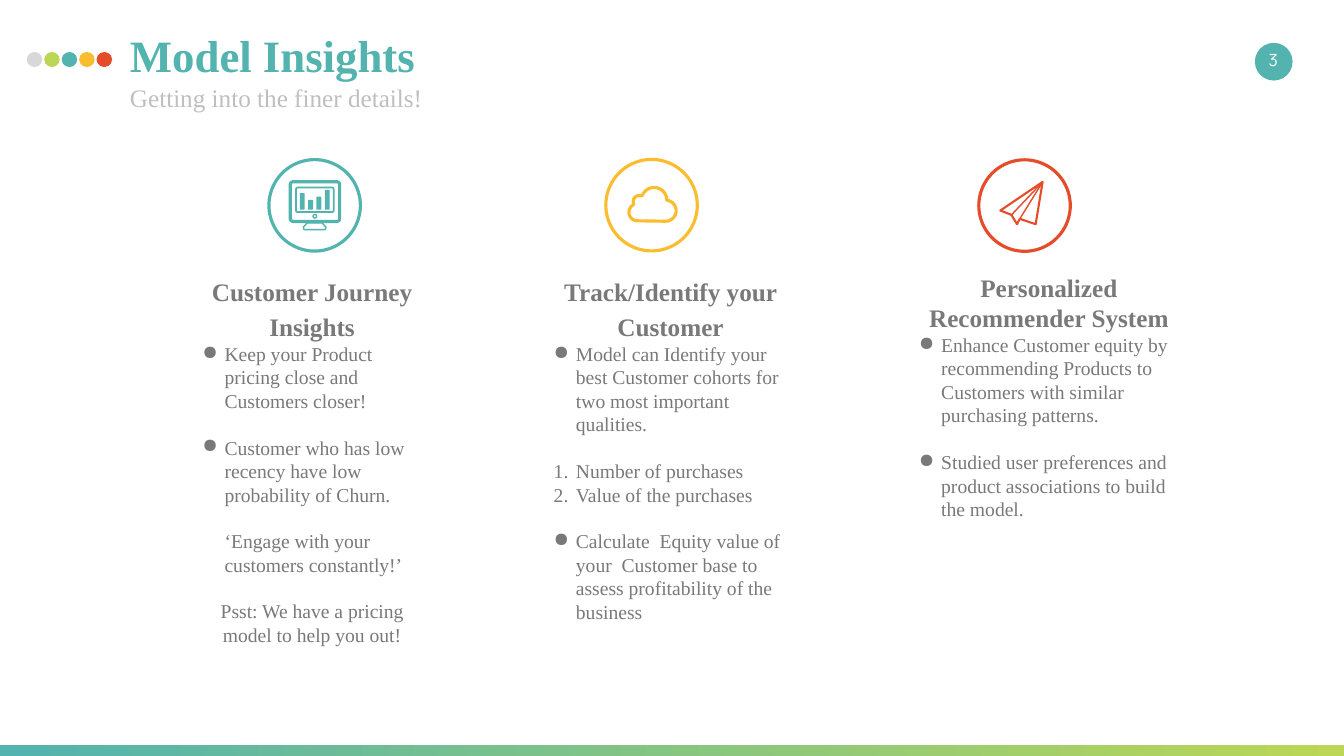
from math import cos, radians, sin

from lxml.etree import SubElement
from pptx import Presentation
from pptx.dml.color import RGBColor
from pptx.enum.shapes import MSO_CONNECTOR, MSO_SHAPE
from pptx.enum.text import MSO_ANCHOR, PP_ALIGN
from pptx.oxml.ns import qn
from pptx.util import Cm, Pt

TEAL, LIME, GOLD, RED = "52B3AF", "BBD755", "FABD30", "E54C29"
SILVER, GRAY, DARK, WHITE = "D8D8D8", "BFBFBF", "797979", "FFFFFF"
SERIF = "Times New Roman"
WIDE, HIGH = 67.74, 38.1


def rgb(code):
    return RGBColor.from_string(code)


def paint(shape, fill=None, line=None, width=0):
    shape.shadow.inherit = False
    if fill:
        shape.fill.solid()
        shape.fill.fore_color.rgb = rgb(fill)
    else:
        shape.fill.background()
    if line:
        shape.line.color.rgb = rgb(line)
        shape.line.width = Pt(width)
    else:
        shape.line.fill.background()


def add_form(slide, kind, x, y, w, h, **look):
    shape = slide.shapes.add_shape(kind, Cm(x), Cm(y), Cm(w), Cm(h))
    paint(shape, **look)
    return shape


def add_path(slide, x, y, points, color, width):
    """Draw a closed outline from points measured from the centre x, y."""
    spots = [(Cm(x + dx), Cm(y + dy)) for dx, dy in points]
    maker = slide.shapes.build_freeform(*spots[0], scale=1.0)
    maker.add_line_segments(spots[1:], close=True)
    paint(maker.convert_to_shape(), line=color, width=width)


def add_line(slide, x1, y1, x2, y2, color, width):
    line = slide.shapes.add_connector(
        MSO_CONNECTOR.STRAIGHT, Cm(x1), Cm(y1), Cm(x2), Cm(y2))
    line.line.color.rgb = rgb(color)
    line.line.width = Pt(width)
    SubElement(line._element.spPr, qn("a:effectLst"))


def style(para, size, color, bold=False, font=SERIF):
    for run in para.runs:
        run.font.name, run.font.size, run.font.bold = font, Pt(size), bold
        run.font.color.rgb = rgb(color)


def set_frame(frame, side=0.68, edge=0.34, anchor=MSO_ANCHOR.TOP):
    frame.word_wrap = True
    frame.margin_left = frame.margin_right = Cm(side)
    frame.margin_top = frame.margin_bottom = Cm(edge)
    frame.vertical_anchor = anchor


def add_box(slide, x, y, w, h, **frame):
    box = slide.shapes.add_textbox(Cm(x), Cm(y), Cm(w), Cm(h))
    set_frame(box.text_frame, **frame)
    return box.text_frame


def set_mark(para, mark):
    """Indent a paragraph and give it a dot, a number or no mark."""
    props = para._p.get_or_add_pPr()
    props.set("marL", str(Cm(1.27)))
    props.set("indent", str(0 if mark == "plain" else -Cm(1.12)))
    if mark == "plain":
        return
    color = SubElement(props, qn("a:buClr"))
    SubElement(color, qn("a:srgbClr")).set("val", DARK)
    if mark == "dot":
        SubElement(props, qn("a:buChar")).set("char", "●")
    else:
        SubElement(props, qn("a:buAutoNum")).set("type", "arabicPeriod")


def add_column(slide, x, w, h, head, space, items):
    frame = add_box(slide, x, 13.59, w, h, side=0.25, edge=0.13)
    first = frame.paragraphs[0]
    first.text, first.alignment, first.line_spacing = head, PP_ALIGN.CENTER, space
    style(first, 36, DARK, bold=True)
    for index, (mark, text) in enumerate(items):
        para = frame.add_paragraph()
        para.text = text
        style(para, 28, DARK)
        if index and mark != "next":
            para.space_before = Pt(33)
        if mark == "center":
            para.alignment = PP_ALIGN.CENTER
        else:
            set_mark(para, mark)


def add_ring(slide, x, y, color):
    size = 4.61
    add_form(slide, MSO_SHAPE.OVAL, x - size / 2, y - size / 2, size, size,
             line=color, width=4.5)


def draw_screen(slide, x, y, color):
    round_box = MSO_SHAPE.ROUNDED_RECTANGLE
    for dx, dy, w, h, width in ((-1.23, -1.19, 2.49, 2, 4.5),
                                (-0.94, -0.9, 1.9, 1.24, 2.5)):
        frame = add_form(slide, round_box, x + dx, y + dy, w, h,
                         line=color, width=width)
        frame.adjustments[0] = 0.07
    for index, tall in enumerate((0.84, 0.5, 0.66, 1)):
        add_form(slide, round_box, x - 0.75 + 0.42 * index, y + 0.22 - tall,
                 0.25, tall, fill=color)
    add_form(slide, MSO_SHAPE.OVAL, x - 0.08, y + 0.46, 0.18, 0.18,
             line=color, width=2)
    half = [(-0.37, 0.88), (-0.57, 1.1), (-0.54, 1.22)]
    stand = half + [(-dx, dy) for dx, dy in reversed(half)]
    add_path(slide, x, y, stand, color, 2)


def draw_cloud(slide, x, y, color):
    arcs = ((-0.71, 0.36, 0.43, 90, 242), (-0.64, -0.2, 0.28, 165, 290),
            (0.13, -0.25, 0.64, 203, 360), (0.71, 0.28, 0.53, 280, 450))
    points = []
    for cx, cy, r, start, end in arcs:
        for step in range(17):
            turn = radians(start + (end - start) * step / 16)
            points.append((cx + r * cos(turn), cy + r * sin(turn)))
    add_path(slide, x, y, points, color, 4.5)


def draw_plane(slide, x, y, color):
    tip, fold, keel = (0.91, -1.19), (-0.66, 0.47), (-0.24, 0.67)
    outline = [tip, (-1.22, 0.25), fold, (-0.38, 0.94), keel, (0.56, 0.94)]
    add_path(slide, x, y, outline, color, 3)
    for dx, dy in (fold, keel):
        add_line(slide, x + tip[0], y + tip[1], x + dx, y + dy, color, 2)


def add_frame(slide):
    bar = add_form(slide, MSO_SHAPE.RECTANGLE, 0, 37.57, WIDE, HIGH - 37.57)
    bar.fill.gradient()
    bar.fill.gradient_angle = 0
    for stop, color in zip(bar.fill.gradient_stops, (TEAL, LIME)):
        stop.color.rgb = rgb(color)
    for index, color in enumerate((SILVER, LIME, TEAL, GOLD, RED)):
        add_form(slide, MSO_SHAPE.OVAL, 1.35 + 0.88 * index, 2.62, 0.78, 0.76,
                 fill=color)
    add_form(slide, MSO_SHAPE.OVAL, 63.25, 2.16, 1.9, 1.9, fill=TEAL)
    page = add_box(slide, 62.69, 1.98, 2.97, 2.03, anchor=MSO_ANCHOR.MIDDLE)
    page.text = "3"
    page.paragraphs[0].alignment = PP_ALIGN.CENTER
    style(page.paragraphs[0], 24, WHITE, font="Manrope")


def add_titles(slide):
    title = slide.shapes.title
    title.left, title.top, title.width, title.height = (
        Cm(5.87), Cm(1.04), Cm(53.98), Cm(4.06))
    set_frame(title.text_frame)
    title.text_frame.text = "Model Insights"
    title.text_frame.paragraphs[0].alignment = PP_ALIGN.LEFT
    style(title.text_frame.paragraphs[0], 64, TEAL, bold=True)
    sub = add_box(slide, 5.87, 3.81, 53.98, 2.16)
    sub.text = "Getting into the finer details!"
    style(sub.paragraphs[0], 36, GRAY)


def main():
    deck = Presentation()
    deck.slide_width, deck.slide_height = Cm(WIDE), Cm(HIGH)
    slide = deck.slides.add_slide(deck.slide_layouts[5])
    add_frame(slide)
    add_titles(slide)
    for x, y, color, draw in ((15.86, 10.35, TEAL, draw_screen),
                              (32.84, 10.34, GOLD, draw_cloud),
                              (51.64, 10.36, RED, draw_plane)):
        add_ring(slide, x, y, color)
        draw(slide, x, y, color)
    add_column(slide, 9.8, 11.86, 19.02, "Customer Journey Insights", 1.15, [
        ("dot", "Keep your Product pricing close and Customers closer!"),
        ("dot", "Customer who has low recency have low probability of Churn."),
        ("plain", "‘Engage with your customers constantly!’"),
        ("center", "Psst: We have a pricing model to help you out!")])
    add_column(slide, 27.51, 12.57, 20.57, "Track/Identify your Customer", 1.15, [
        ("dot", "Model can Identify your best Customer cohorts for two most "
                "important qualities."),
        ("number", "Number of purchases"),
        ("next", "Value of the purchases"),
        ("dot", "Calculate  Equity value of your  Customer base to assess "
                "profitability of the business")])
    add_column(slide, 45.92, 13.89, 17.7, "Personalized Recommender System", 1, [
        ("dot", "Enhance Customer equity by recommending Products to Customers "
                "with similar purchasing patterns."),
        ("dot", "Studied user preferences and product associations to build "
                "the model.")])
    deck.save("out.pptx")


if __name__ == "__main__":
    main()
